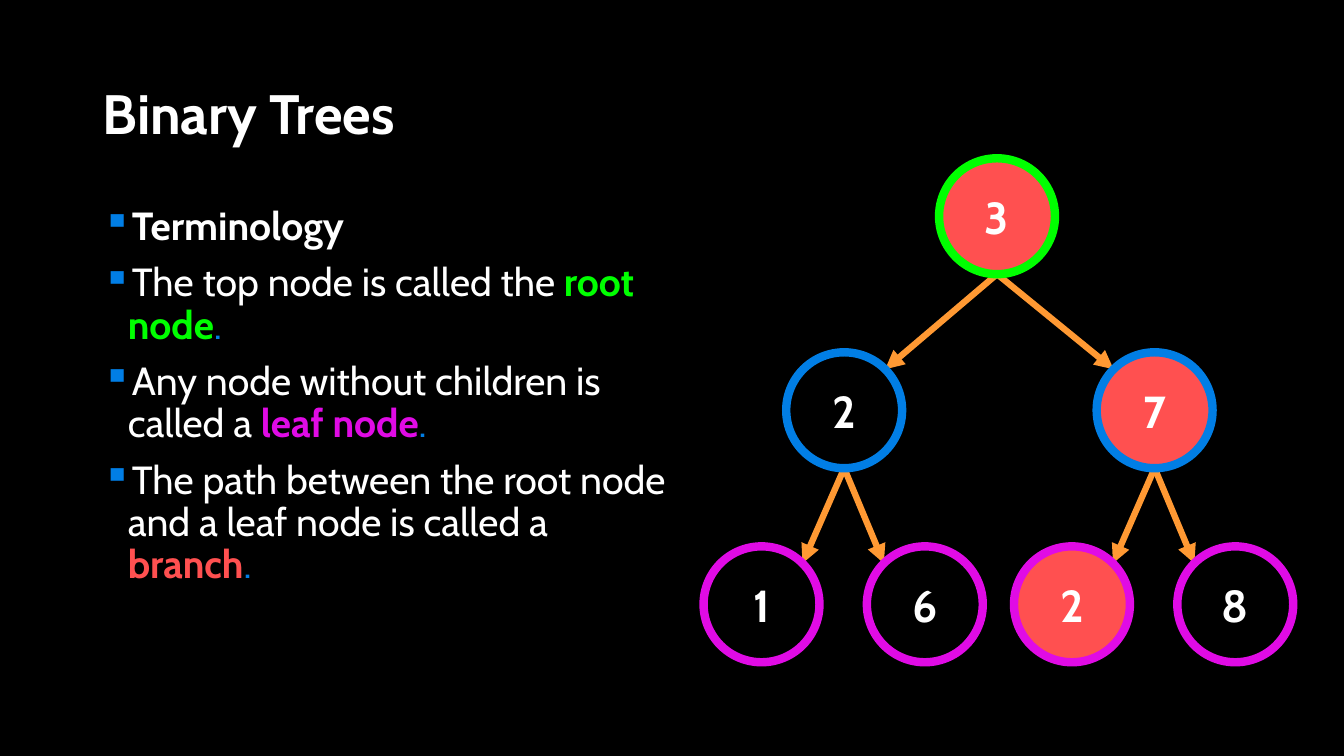
from dataclasses import dataclass
from math import sqrt

from lxml.etree import SubElement
from pptx import Presentation
from pptx.dml.color import RGBColor
from pptx.enum.shapes import MSO_CONNECTOR, MSO_SHAPE
from pptx.enum.text import MSO_ANCHOR, PP_ALIGN
from pptx.oxml.ns import qn
from pptx.slide import Slide
from pptx.text.text import TextFrame
from pptx.util import Emu, Inches, Pt

BLACK = RGBColor(0x00, 0x00, 0x00)
WHITE = RGBColor(0xFF, 0xFF, 0xFF)
BLUE = RGBColor(0x01, 0x7E, 0xE5)
GREEN = RGBColor(0x00, 0xFF, 0x00)
MAGENTA = RGBColor(0xE0, 0x0B, 0xE5)
RED = RGBColor(0xFF, 0x50, 0x50)
ORANGE = RGBColor(0xFF, 0x99, 0x33)

FONT = "Cabin"
SLIDE_WIDTH, SLIDE_HEIGHT = Inches(13.33), Inches(7.5)
COLUMNS, ROWS = 160, 90

DIAMETER = 13.8
RADIUS = DIAMETER / 2
DIAGONAL = RADIUS / sqrt(2)
ROOT_COLUMN, ROOT_ROW = 118.7, 25.74
LEVEL_GAP = 23.1
CHILD_OFFSETS = [(-18.2, 18.76), (-9.84, 9.6)]


@dataclass(frozen=True)
class Span:
    words: str
    color: RGBColor = WHITE
    bold: bool = False


@dataclass(frozen=True)
class Node:
    value: str
    ring: RGBColor
    on_branch: bool = False
    children: tuple["Node", ...] = ()


HEADING = [[Span("Binary Trees", bold=True)]]
TERMS = [
    [Span("Terminology", bold=True)],
    [Span("The top node is called the "), Span("root node", GREEN, True), Span(".", BLUE)],
    [Span("Any node without children is called a "), Span("leaf node", MAGENTA, True), Span(".", BLUE)],
    [
        Span("The path between the root node and a leaf node is called a "),
        Span("branch", RED, True),
        Span(".", BLUE),
    ],
]
TREE = Node("3", GREEN, True, (
    Node("2", BLUE, False, (Node("1", MAGENTA), Node("6", MAGENTA))),
    Node("7", BLUE, True, (Node("2", MAGENTA, True), Node("8", MAGENTA))),
))


def col(count: float) -> Emu:
    return Emu(round(SLIDE_WIDTH * count / COLUMNS))


def row(count: float) -> Emu:
    return Emu(round(SLIDE_HEIGHT * count / ROWS))


def write(
    frame: TextFrame,
    paragraphs: list[list[Span]],
    *,
    size: float,
    align: PP_ALIGN = PP_ALIGN.LEFT,
    anchor: MSO_ANCHOR = MSO_ANCHOR.MIDDLE,
    line_spacing: float = 1.0,
    space_before: float = 0,
    bullet: str = "",
    wrap: bool = True,
) -> None:
    frame.word_wrap = wrap
    frame.vertical_anchor = anchor
    for index, spans in enumerate(paragraphs):
        paragraph = frame.add_paragraph() if index else frame.paragraphs[0]
        paragraph.alignment = align
        paragraph.line_spacing = line_spacing
        paragraph.space_before = Pt(space_before)
        if bullet:
            properties = paragraph._p.get_or_add_pPr()
            properties.set("marL", str(Inches(0.25)))
            properties.set("indent", str(-Inches(0.25)))
            bullet_color = SubElement(properties, qn("a:buClr"))
            SubElement(bullet_color, qn("a:srgbClr"), val=str(BLUE))
            SubElement(properties, qn("a:buChar"), char=bullet)
        for span in spans:
            run = paragraph.add_run()
            run.text = span.words
            run.font.name = FONT
            run.font.size = Pt(size)
            run.font.bold = span.bold
            run.font.color.rgb = span.color


def draw_arrow(slide: Slide, x1: float, y1: float, x2: float, y2: float) -> None:
    arrow = slide.shapes.add_connector(MSO_CONNECTOR.STRAIGHT, col(x1), row(y1), col(x2), row(y2))
    arrow.line.color.rgb = ORANGE
    arrow.line.width = Pt(4.5)
    SubElement(arrow.line._get_or_add_ln(), qn("a:tailEnd"), type="triangle")
    SubElement(arrow._element.spPr, qn("a:effectLst"))


def draw_circle(slide: Slide, node: Node, x: float, y: float) -> None:
    circle = slide.shapes.add_shape(
        MSO_SHAPE.OVAL, col(x - RADIUS), row(y - RADIUS), col(DIAMETER), row(DIAMETER)
    )
    circle.shadow.inherit = False
    if node.on_branch:
        circle.fill.solid()
        circle.fill.fore_color.rgb = RED
    else:
        circle.fill.background()
    circle.line.color.rgb = node.ring
    circle.line.width = Pt(6)
    write(circle.text_frame, [[Span(node.value, bold=True)]], size=32, align=PP_ALIGN.CENTER, wrap=False)


def draw_tree(slide: Slide, node: Node, x: float, y: float, level: int = 0) -> None:
    if node.children:
        child_y = y + LEVEL_GAP
        for child, offset in zip(node.children, CHILD_OFFSETS[level]):
            child_x = x + offset
            tip_x = child_x + (DIAGONAL if offset < 0 else -DIAGONAL)
            draw_arrow(slide, x, y + RADIUS, tip_x, child_y - DIAGONAL)
            draw_tree(slide, child, child_x, child_y, level + 1)
    draw_circle(slide, node, x, y)


def main() -> None:
    deck = Presentation()
    deck.slide_width, deck.slide_height = SLIDE_WIDTH, SLIDE_HEIGHT
    slide = deck.slides.add_slide(deck.slide_layouts[6])
    slide.background.fill.solid()
    slide.background.fill.fore_color.rgb = BLACK

    heading = slide.shapes.add_textbox(col(11.04), row(9.6), col(138), row(8.64))
    write(heading.text_frame, HEADING, size=39.6, line_spacing=0.9)
    terms = slide.shapes.add_textbox(col(11.04), row(24), col(70.8), row(63.48))
    write(
        terms.text_frame, TERMS, size=28, anchor=MSO_ANCHOR.TOP,
        line_spacing=0.9, space_before=10, bullet="▪",
    )
    draw_tree(slide, TREE, ROOT_COLUMN, ROOT_ROW)
    deck.save("out.pptx")


if __name__ == "__main__":
    main()
